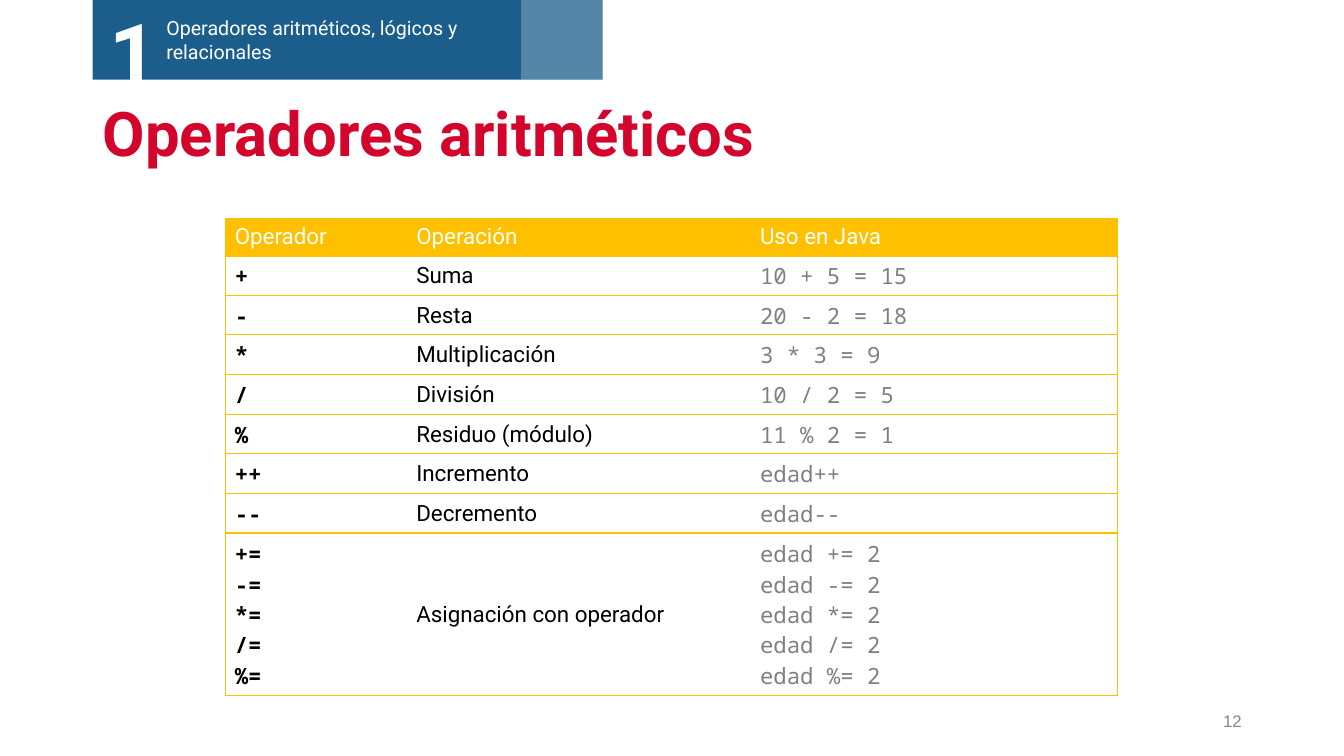
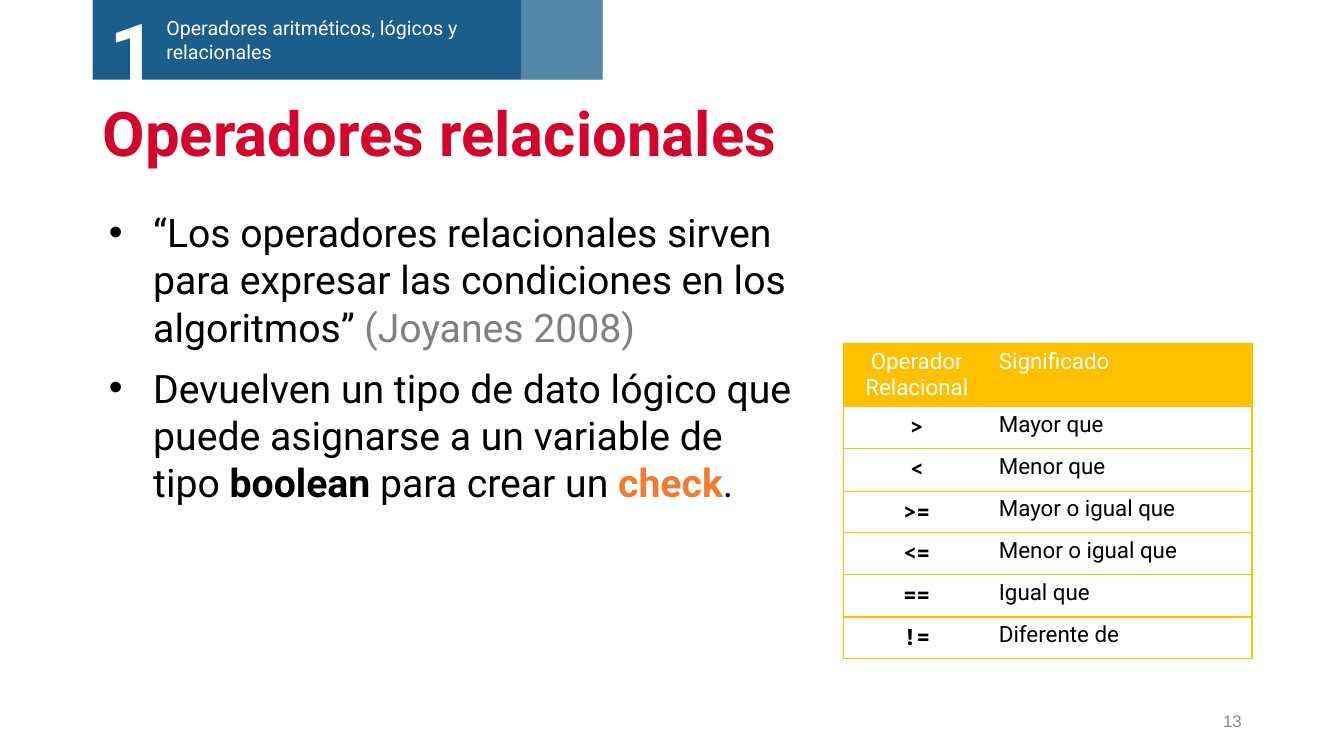
from dataclasses import dataclass, replace

from lxml.etree import SubElement
from pptx import Presentation
from pptx.dml.color import RGBColor
from pptx.enum.shapes import MSO_SHAPE
from pptx.enum.text import MSO_ANCHOR, MSO_AUTO_SIZE, PP_ALIGN
from pptx.oxml.ns import qn
from pptx.util import Emu, Pt

PX = 9144
BLUE = RGBColor(0x1B, 0x5E, 0x8B)
RED = RGBColor(0xD3, 0x05, 0x2C)
GOLD = RGBColor(0xFF, 0xC0, 0x00)
ORANGE = RGBColor(0xED, 0x7D, 0x31)
WHITE = RGBColor(0xFF, 0xFF, 0xFF)
BLACK = RGBColor(0x00, 0x00, 0x00)
GREY = RGBColor(0x80, 0x80, 0x80)
PAGE_GREY = RGBColor(0x88, 0x88, 0x88)
NO_TABLE_STYLE = "{2D5ABB26-0587-4C30-8999-92F81FD0307C}"


@dataclass(frozen=True)
class Box:
    x: int
    y: int
    w: int
    h: int

    def emu(self) -> tuple[Emu, ...]:
        return tuple(Emu(n * PX) for n in (self.x, self.y, self.w, self.h))


@dataclass(frozen=True)
class Style:
    size: int
    color: RGBColor = BLACK
    bold: bool = False
    font: str = "Roboto"
    align: PP_ALIGN = PP_ALIGN.LEFT


@dataclass(frozen=True)
class Column:
    width: int
    style: Style


@dataclass(frozen=True)
class Grid:
    x: int
    y: int
    columns: tuple[Column, ...]
    rows: tuple[tuple[str, ...], ...]
    heights: tuple[int, ...]
    anchor: MSO_ANCHOR


TITLE = Style(44, RED, True)
BODY = Style(28)
BOLD = replace(BODY, bold=True)
CITE = replace(BODY, color=GREY)
ACCENT = replace(BOLD, color=ORANGE)
PAGE = Style(12, PAGE_GREY, font="Arial", align=PP_ALIGN.RIGHT)
LABEL = Style(16)
SYMBOL = Style(16, BLACK, True, "Noto Sans Mono")
CODE = Style(16, GREY, font="Noto Sans Mono")

ARITHMETIC = Grid(
    224, 217,
    (Column(180, SYMBOL), Column(341, LABEL), Column(364, CODE)),
    (
        ("Operador", "Operación", "Uso en Java"),
        ("+", "Suma", "10 + 5 = 15"),
        ("-", "Resta", "20 - 2 = 18"),
        ("*", "Multiplicación", "3 * 3 = 9"),
        ("/", "División", "10 / 2 = 5"),
        ("%", "Residuo (módulo)", "11 % 2 = 1"),
        ("++", "Incremento", "edad++"),
        ("--", "Decremento", "edad--"),
        ("+=\n-=\n*=\n/=\n%=", "Asignación con operador",
         "edad += 2\nedad -= 2\nedad *= 2\nedad /= 2\nedad %= 2"),
    ),
    (37, 39, 39, 40, 39, 39, 40, 39, 161), MSO_ANCHOR.MIDDLE,
)
RELATIONAL = Grid(
    837, 341,
    (Column(145, replace(SYMBOL, align=PP_ALIGN.CENTER)), Column(260, LABEL)),
    (
        ("Operador Relacional", "Significado"),
        (">", "Mayor que"),
        ("<", "Menor que"),
        (">=", "Mayor o igual que"),
        ("<=", "Menor o igual que"),
        ("==", "Igual que"),
        ("!=", "Diferente de"),
    ),
    (61,) + (42, 42, 41) * 2, MSO_ANCHOR.TOP,
)
BULLETS = (
    (
        ("“Los operadores relacionales sirven para expresar las condiciones en los algoritmos” ", BODY),
        ("(Joyanes 2008)", CITE),
    ),
    (
        ("Devuelven un tipo de dato lógico que puede asignarse a un variable de tipo ", BODY),
        ("boolean", BOLD),
        (" para crear un ", BODY),
        ("check", ACCENT),
        (".", BODY),
    ),
)


def format_run(r, style: Style) -> None:
    r.font.name = style.font
    r.font.size = Pt(style.size)
    r.font.bold = style.bold
    r.font.color.rgb = style.color


def write(tf, text: str, style: Style) -> None:
    tf.text = text
    for p in tf.paragraphs:
        p.alignment = style.align
        for r in p.runs:
            format_run(r, style)


def place(sp, box: Box) -> None:
    sp.left, sp.top, sp.width, sp.height = box.emu()


def add_text(s, box: Box, text: str, style: Style, anchor=MSO_ANCHOR.TOP) -> None:
    tf = s.shapes.add_textbox(*box.emu()).text_frame
    tf.word_wrap = True
    tf.margin_left = tf.margin_right = tf.margin_top = tf.margin_bottom = 0
    tf.vertical_anchor = anchor
    write(tf, text, style)


def add_band(s, box: Box, color: RGBColor, opacity: int = 100) -> None:
    sp = s.shapes.add_shape(MSO_SHAPE.RECTANGLE, *box.emu())
    sp.shadow.inherit = False
    sp.fill.solid()
    sp.fill.fore_color.rgb = color
    sp.line.fill.background()
    if opacity < 100:
        clr = sp.element.spPr.find(qn("a:solidFill")).find(qn("a:srgbClr"))
        SubElement(clr, qn("a:alpha"), val=str(opacity * 1000))


def add_header(s) -> None:
    add_band(s, Box(92, 0, 506, 79), BLUE)
    add_text(s, Box(165, 16, 315, 47),
             "Operadores aritméticos, lógicos y relacionales", Style(14, WHITE))
    add_text(s, Box(109, 0, 92, 101), "1", Style(60, WHITE, True))
    add_band(s, Box(517, 0, 81, 79), WHITE, 25)


def add_slide(prs, layout: int, title: str, number: int):
    s = prs.slides.add_slide(prs.slide_layouts[layout])
    place(s.shapes.title, Box(92, 92, 1150, 86))
    tf = s.shapes.title.text_frame
    tf.auto_size = MSO_AUTO_SIZE.NONE
    tf.vertical_anchor = MSO_ANCHOR.MIDDLE
    write(tf, title, TITLE)
    tf.paragraphs[0].line_spacing = 0.9
    add_header(s)
    add_text(s, Box(942, 695, 290, 40), str(number), PAGE, MSO_ANCHOR.MIDDLE)
    return s


def add_border(cell, side: str, visible: bool) -> None:
    ln = SubElement(cell._tc.get_or_add_tcPr(), qn(f"a:ln{side}"), w=str(Pt(1)))
    if visible:
        fill = SubElement(ln, qn("a:solidFill"))
        SubElement(fill, qn("a:srgbClr"), val=str(GOLD))
    else:
        SubElement(ln, qn("a:noFill"))


def add_grid(s, grid: Grid) -> None:
    n_rows, n_cols = len(grid.rows), len(grid.columns)
    width = sum(column.width for column in grid.columns)
    box = Box(grid.x, grid.y, width, sum(grid.heights))
    frame = s.shapes.add_table(n_rows, n_cols, *box.emu())
    for style_id in frame.element.iter(qn("a:tableStyleId")):
        style_id.text = NO_TABLE_STYLE
    table = frame.table
    table.horz_banding = False
    for j, column in enumerate(grid.columns):
        table.columns[j].width = Emu(column.width * PX)
    for i, texts in enumerate(grid.rows):
        table.rows[i].height = Emu(grid.heights[i] * PX)
        is_head = i == 0
        for j, text in enumerate(texts):
            cell = table.cell(i, j)
            add_border(cell, "L", j == 0)
            add_border(cell, "R", j == n_cols - 1)
            add_border(cell, "T", True)
            add_border(cell, "B", True)
            cell.fill.solid()
            cell.fill.fore_color.rgb = GOLD if is_head else WHITE
            cell.margin_left = cell.margin_right = Emu(9 * PX)
            cell.margin_top, cell.margin_bottom = Emu(5 * PX), Emu(4 * PX)
            cell.vertical_anchor = MSO_ANCHOR.TOP if is_head else grid.anchor
            style = grid.columns[j].style
            write(cell.text_frame, text,
                  Style(16, WHITE, align=style.align) if is_head else style)


def fill_body(sp) -> None:
    place(sp, Box(92, 202, 704, 478))
    tf = sp.text_frame
    tf.auto_size = MSO_AUTO_SIZE.NONE
    for i, pieces in enumerate(BULLETS):
        p = tf.paragraphs[0] if i == 0 else tf.add_paragraph()
        p.space_before = Pt(10 if i else 0)
        pPr = p._p.get_or_add_pPr()
        pPr.set("marL", str(50 * PX))
        pPr.set("indent", str(-44 * PX))
        color = SubElement(pPr, qn("a:buClr"))
        SubElement(color, qn("a:srgbClr"), val=str(BLACK))
        SubElement(pPr, qn("a:buFont"), typeface="Arial")
        SubElement(pPr, qn("a:buChar"), char="•")
        for text, style in pieces:
            r = p.add_run()
            r.text = text
            format_run(r, style)


def main() -> None:
    prs = Presentation()
    prs.slide_width, prs.slide_height = Emu(12192000), Emu(6858000)
    s = add_slide(prs, 5, "Operadores aritméticos", 12)
    add_grid(s, ARITHMETIC)
    s = add_slide(prs, 1, "Operadores relacionales", 13)
    fill_body(s.placeholders[1])
    add_grid(s, RELATIONAL)
    prs.save("out.pptx")


if __name__ == "__main__":
    main()
